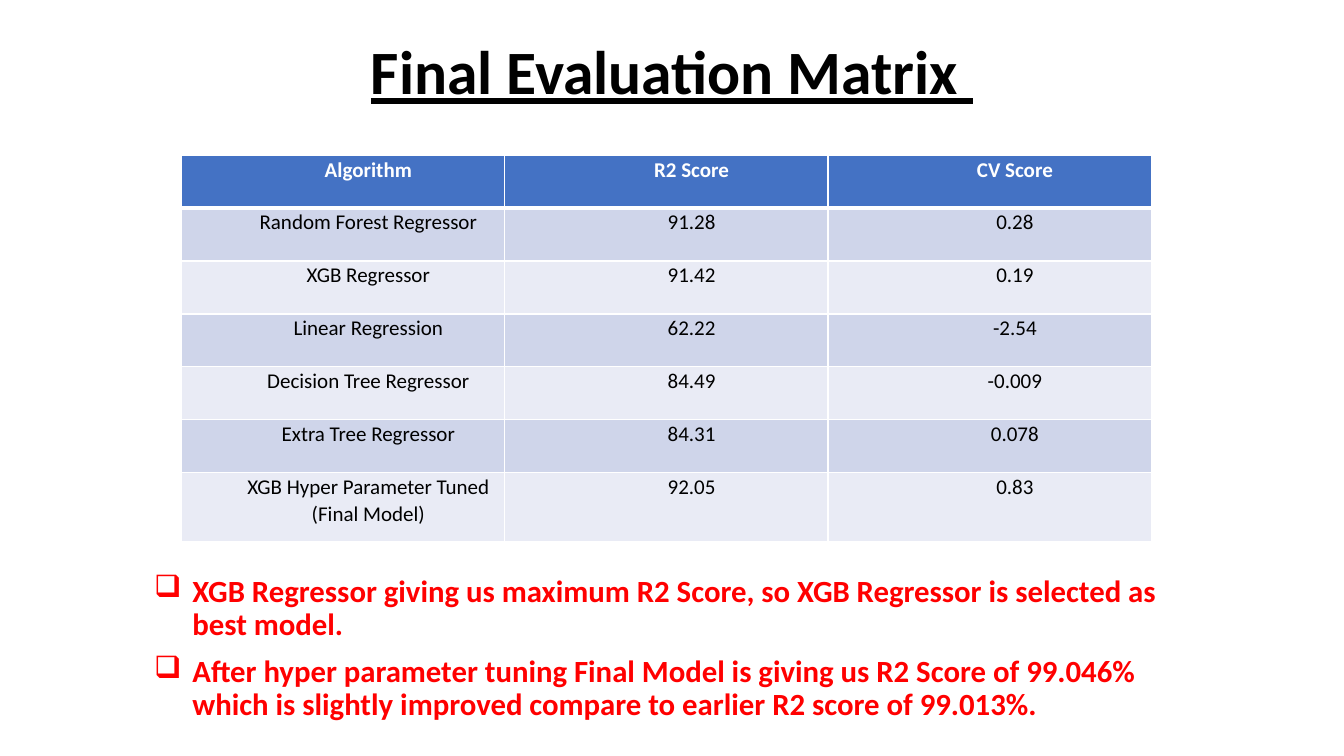
from dataclasses import dataclass

from lxml.etree import SubElement
from pptx import Presentation
from pptx.dml.color import RGBColor
from pptx.enum.text import MSO_ANCHOR, PP_ALIGN
from pptx.oxml.ns import qn
from pptx.util import Inches, Pt


@dataclass(frozen=True)
class Theme:
    font: str = "Calibri"
    black: str = "000000"
    white: str = "FFFFFF"
    header: str = "4472C4"
    bands: tuple = ("CFD5EA", "E9EBF5")
    accent: str = "FF0000"
    title_size: int = 44
    table_size: int = 15
    finding_size: int = 22


THEME = Theme()

SCORES = [
    ("Algorithm", "R2 Score", "CV Score"),
    ("Random Forest Regressor", "91.28", "0.28"),
    ("XGB Regressor", "91.42", "0.19"),
    ("Linear Regression", "62.22", "-2.54"),
    ("Decision Tree Regressor", "84.49", "-0.009"),
    ("Extra Tree Regressor", "84.31", "0.078"),
    ("XGB Hyper Parameter Tuned (Final Model)", "92.05", "0.83"),
]
ROW_HEIGHT, LAST_ROW_HEIGHT = 0.525, 0.68

FINDINGS = [
    "XGB Regressor giving us maximum R2 Score, so XGB Regressor is selected as best model.",
    "After hyper parameter tuning Final Model is giving us R2 Score of 99.046% "
    "which is slightly improved compare to earlier R2 score of 99.013%.",
]


def add_run(paragraph, text, size, color, bold=False, underline=None):
    run = paragraph.add_run()
    run.text = text
    run.font.name = THEME.font
    run.font.size = Pt(size)
    run.font.bold = bold
    run.font.underline = underline
    run.font.color.rgb = RGBColor.from_string(color)


def set_indent(paragraph, left, first_line=0):
    properties = paragraph._p.get_or_add_pPr()
    properties.set("marL", str(Inches(left)))
    properties.set("indent", str(Inches(first_line)))
    return properties


def set_borders(cell, widths):
    properties = cell._tc.get_or_add_tcPr()
    for side, width in widths.items():
        line = SubElement(properties, qn(f"a:ln{side}"), w=str(Pt(width)))
        fill = SubElement(line, qn("a:solidFill"))
        SubElement(fill, qn("a:srgbClr"), val=THEME.white)


def add_title(slide, text):
    title = slide.shapes.title
    title.left, title.top = Inches(0), Inches(0)
    title.width, title.height = Inches(13.33), Inches(1.48)
    title.text_frame.vertical_anchor = MSO_ANCHOR.MIDDLE
    paragraph = title.text_frame.paragraphs[0]
    paragraph.alignment = PP_ALIGN.CENTER
    paragraph.line_spacing = 0.9
    add_run(paragraph, text, THEME.title_size, THEME.black, bold=True, underline=True)


def fill_cell(cell, text, row_index):
    is_header = row_index == 0
    # Heavier rule between the header and the body
    set_borders(cell, {
        "L": 1,
        "R": 1,
        "T": 3 if row_index == 1 else 1,
        "B": 3 if is_header else 1,
    })
    color = THEME.header if is_header else THEME.bands[(row_index - 1) % 2]
    cell.fill.solid()
    cell.fill.fore_color.rgb = RGBColor.from_string(color)
    cell.margin_left = cell.margin_right = Inches(0.07)
    cell.margin_top = cell.margin_bottom = Inches(0)
    paragraph = cell.text_frame.paragraphs[0]
    paragraph.alignment = PP_ALIGN.CENTER
    paragraph.line_spacing = 1.07
    set_indent(paragraph, 0.5)
    text_color = THEME.white if is_header else THEME.black
    add_run(paragraph, text, THEME.table_size, text_color, bold=is_header)


def add_score_table(slide, rows):
    height = ROW_HEIGHT * (len(rows) - 1) + LAST_ROW_HEIGHT
    table = slide.shapes.add_table(
        len(rows), len(rows[0]),
        Inches(1.8), Inches(1.54), Inches(9.62), Inches(height),
    ).table
    for row_index, values in enumerate(rows):
        is_last = row_index == len(rows) - 1
        table.rows[row_index].height = Inches(LAST_ROW_HEIGHT if is_last else ROW_HEIGHT)
        for column_index, text in enumerate(values):
            fill_cell(table.cell(row_index, column_index), text, row_index)


def add_findings(slide, findings):
    box = slide.shapes.add_textbox(Inches(1.43), Inches(5.66), Inches(10.48), Inches(1.57))
    frame = box.text_frame
    frame.word_wrap = True
    for index, text in enumerate(findings):
        paragraph = frame.add_paragraph() if index else frame.paragraphs[0]
        paragraph.line_spacing = 0.9
        paragraph.space_before = Pt(10)
        properties = set_indent(paragraph, 0.38, -0.38)
        SubElement(properties, qn("a:buChar"), char="❑")
        add_run(paragraph, text, THEME.finding_size, THEME.accent, bold=True)


def main():
    presentation = Presentation()
    presentation.slide_width = Inches(13.33)
    presentation.slide_height = Inches(7.5)
    slide = presentation.slides.add_slide(presentation.slide_layouts.get_by_name("Title Only"))

    # Heading, model scores, conclusions
    add_title(slide, "Final Evaluation Matrix ")
    add_score_table(slide, SCORES)
    add_findings(slide, FINDINGS)

    presentation.save("out.pptx")


if __name__ == "__main__":
    main()
